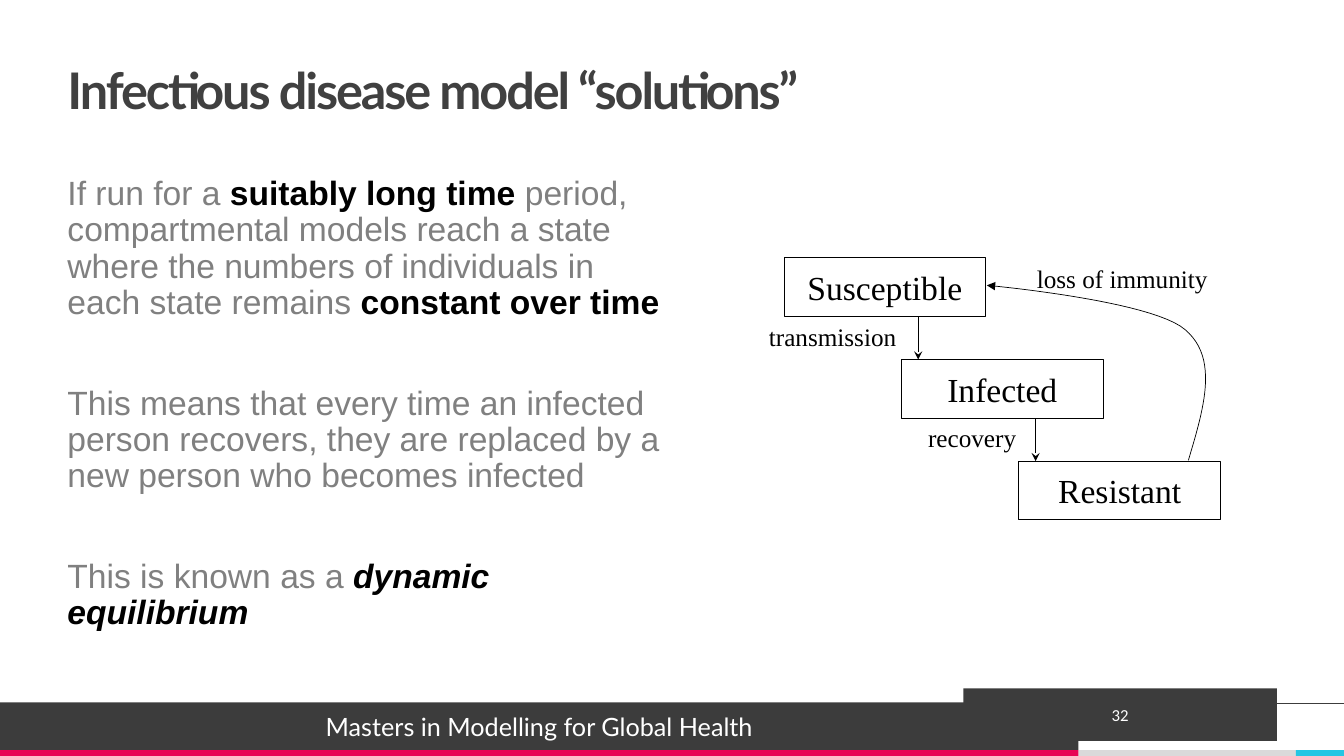
from pptx import Presentation
from pptx.dml.color import RGBColor
from pptx.enum.shapes import MSO_CONNECTOR, MSO_SHAPE
from pptx.enum.text import MSO_ANCHOR, MSO_AUTO_SIZE, PP_ALIGN
from pptx.oxml.ns import qn
from pptx.util import Cm, Pt
from lxml.etree import SubElement

COLORS = {
    "dark": "3C3C3C",
    "title": "404040",
    "body": "808080",
    "black": "000000",
    "white": "FFFFFF",
    "pink": "E80554",
    "silver": "DADADA",
    "cyan": "25C6E3",
}
FORMATS = {
    "title": {"name": "Lato", "size": Pt(36), "bold": True},
    "body": {"name": "Arial", "size": Pt(24)},
    "strong": {"name": "Arial", "size": Pt(24), "bold": True},
    "term": {"name": "Arial", "size": Pt(24), "bold": True, "italic": True},
    "footer": {"name": "Lato", "size": Pt(18)},
    "number": {"name": "Calibri", "size": Pt(12)},
    "state": {"name": "Times New Roman", "size": Pt(24)},
    "label": {"name": "Times New Roman", "size": Pt(18)},
}


def add_run(paragraph, text, style, color):
    run = paragraph.add_run()
    run.text = text
    for attribute, value in FORMATS[style].items():
        setattr(run.font, attribute, value)
    run.font.color.rgb = RGBColor.from_string(COLORS[color])
    return run


def style_line(shape, color, width, arrowhead=None):
    shape.line.color.rgb = RGBColor.from_string(COLORS[color])
    shape.line.width = Pt(width)
    properties = shape._element.spPr
    if arrowhead:
        SubElement(properties.find(qn("a:ln")), qn("a:tailEnd"), type=arrowhead)
    if properties.find(qn("a:effectLst")) is None:
        SubElement(properties, qn("a:effectLst"))


presentation = Presentation()
presentation.slide_width = Cm(33.87)
presentation.slide_height = Cm(19.05)
slide = presentation.slides.add_slide(presentation.slide_layouts[1])
shapes = slide.shapes
title = shapes.title
body = slide.placeholders[1]

for placeholder, position, anchor in [
    (title, (1.7, 0.76, 30.48, 3.18), MSO_ANCHOR.MIDDLE),
    (body, (1.7, 4.45, 14.96, 12.57), MSO_ANCHOR.TOP),
]:
    placeholder.left, placeholder.top, placeholder.width, placeholder.height = map(Cm, position)
    frame = placeholder.text_frame
    frame.auto_size = MSO_AUTO_SIZE.NONE
    frame.word_wrap = True
    frame.vertical_anchor = anchor
    frame.margin_left = frame.margin_right = frame.margin_top = frame.margin_bottom = 0

paragraph = title.text_frame.paragraphs[0]
paragraph.alignment = PP_ALIGN.LEFT
paragraph.line_spacing = 0.9
title_run = add_run(paragraph, "Infectious disease model “solutions”", "title", "title")
title_run._r.get_or_add_rPr().set("spc", "-150")

statements = [
    [
        ("If run for a ", "body", "body"),
        ("suitably long time ", "strong", "black"),
        (
            "period, compartmental models reach a state where the numbers of "
            "individuals in each state remains ",
            "body",
            "body",
        ),
        ("constant over time", "strong", "black"),
    ],
    [
        (
            "This means that every time an infected person recovers, they are "
            "replaced by a new person who becomes infected",
            "body",
            "body",
        )
    ],
    [("This is known as a ", "body", "body"), ("dynamic equilibrium", "term", "black")],
]
for index, statement in enumerate(statements):
    frame = body.text_frame
    paragraph = frame.add_paragraph() if index else frame.paragraphs[0]
    properties = paragraph._p.get_or_add_pPr()
    properties.set("marL", "0")
    properties.set("indent", "0")
    SubElement(properties, qn("a:buNone"))
    paragraph.line_spacing = 0.9
    paragraph.space_before = Pt(46 if index else 0)
    for text, style, color in statement:
        add_run(paragraph, text, style, color)

footer_rule = shapes.add_connector(
    MSO_CONNECTOR.STRAIGHT, Cm(33.87), Cm(17.73), 0, Cm(17.73)
)
style_line(footer_rule, "dark", 0.5)

blocks = [
    (27.18, 18.9, 5.48, 0.15, "silver", None, None),
    (0, 17.7, 27.18, 1.2, "dark", "Masters in Modelling for Global Health", "footer"),
    (0, 18.9, 27.18, 0.15, "pink", None, None),
    (32.66, 18.9, 1.21, 0.15, "cyan", None, None),
    (24.28, 17.35, 7.9, 1.32, "dark", "32", "number"),
]
for left, top, width, height, fill, text, style in blocks:
    block = shapes.add_shape(MSO_SHAPE.RECTANGLE, Cm(left), Cm(top), Cm(width), Cm(height))
    block.shadow.inherit = False
    block.fill.solid()
    block.fill.fore_color.rgb = RGBColor.from_string(COLORS[fill])
    block.line.fill.background()
    if text:
        block.text_frame.vertical_anchor = MSO_ANCHOR.MIDDLE
        paragraph = block.text_frame.paragraphs[0]
        paragraph.alignment = PP_ALIGN.CENTER
        add_run(paragraph, text, style, "white")

state_left, state_top, state_width, state_height = 19.76, 6.5, 5.08, 1.48
step_right, step_down = 2.96, 2.56
states = ["Susceptible", "Infected", "Resistant"]
for index, name in enumerate(states):
    left = state_left + index * step_right
    top = state_top + index * step_down
    state = shapes.add_shape(
        MSO_SHAPE.RECTANGLE, Cm(left), Cm(top), Cm(state_width), Cm(state_height)
    )
    state.shadow.inherit = False
    state.fill.background()
    style_line(state, "black", 0.75)
    state.text_frame.word_wrap = False
    state.text_frame.vertical_anchor = MSO_ANCHOR.MIDDLE
    paragraph = state.text_frame.paragraphs[0]
    paragraph.alignment = PP_ALIGN.CENTER
    add_run(paragraph, name, "state", "black")
    if index < len(states) - 1:
        arrow_x = Cm(left + 3.38)
        arrow = shapes.add_connector(
            MSO_CONNECTOR.STRAIGHT,
            arrow_x, Cm(top + state_height), arrow_x, Cm(top + step_down),
        )
        style_line(arrow, "black", 0.75, "stealth")

curves = [
    [(29.95, 11.6), (30.33, 10.31), (30.73, 9.04), (29.87, 8.31)],
    [(29.87, 8.31), (29.03, 7.57), (24.87, 7.19), (24.87, 7.19)],
]
steps = 24
curve_points = []
for curve in curves:
    for step in range(1, steps + 1):
        t = step / steps
        weights = [(1 - t) ** 3, 3 * t * (1 - t) ** 2, 3 * t**2 * (1 - t), t**3]
        curve_points.append(
            tuple(Cm(sum(w * point[axis] for w, point in zip(weights, curve))) for axis in (0, 1))
        )
start_x, start_y = curves[0][0]
builder = shapes.build_freeform(Cm(start_x), Cm(start_y))
builder.add_line_segments(curve_points, close=False)
immunity_loss = builder.convert_to_shape()
immunity_loss.shadow.inherit = False
immunity_loss.fill.background()
style_line(immunity_loss, "black", 0.5, "triangle")

labels = [
    ("transmission", 19.13, 7.98, 3.73),
    ("recovery", 23.14, 10.52, 2.74),
    ("loss of immunity", 25.88, 6.5, 4.85),
]
for text, left, top, width in labels:
    label = shapes.add_textbox(Cm(left), Cm(top), Cm(width), Cm(1.02))
    label.text_frame.word_wrap = False
    label.text_frame.auto_size = MSO_AUTO_SIZE.SHAPE_TO_FIT_TEXT
    add_run(label.text_frame.paragraphs[0], text, "label", "black")

presentation.save("out.pptx")
